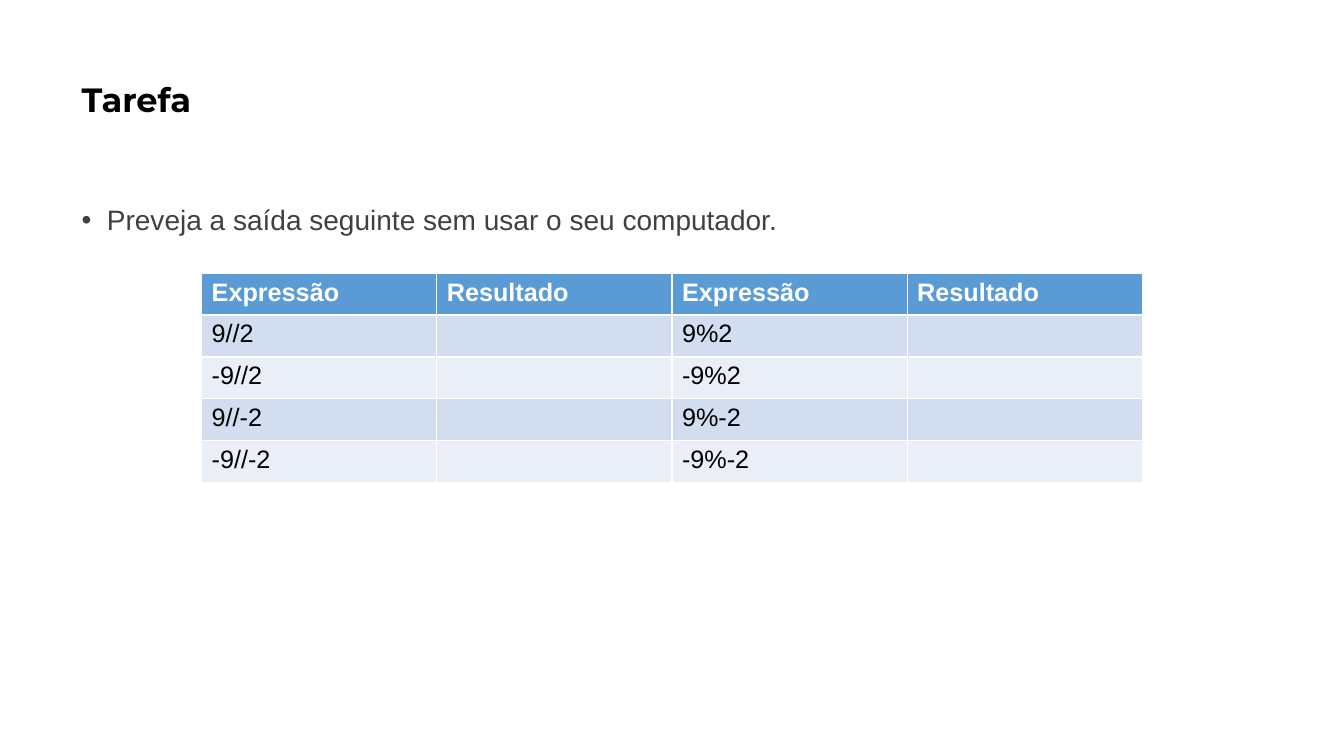
from pptx import Presentation
from pptx import util as u
from pptx.dml import color
from pptx.enum import text

COLORS = {
    "title": "000000",
    "body": "404040",
    "header": "5B9BD5",
    "header_text": "FFFFFF",
    "odd_row": "D2DEEF",
    "even_row": "EAEFF7",
    "cell_text": "000000",
}
HEADINGS = ["Expressão", "Resultado"] * 2
OPERAND_PAIRS = [("9", "2"), ("-9", "2"), ("9", "-2"), ("-9", "-2")]


def rgb(name):
    return color.RGBColor.from_string(COLORS[name])


def style(paragraph, size, color_name, font="Arial", bold=False):
    paragraph.font.name = font
    paragraph.font.size = u.Pt(size)
    paragraph.font.bold = bold
    paragraph.font.color.rgb = rgb(color_name)


def place(placeholder, left, top, width, height):
    placeholder.left, placeholder.top = u.Inches(left), u.Inches(top)
    placeholder.width, placeholder.height = u.Inches(width), u.Inches(height)


def add_heading(slide, wording):
    heading = slide.shapes.title
    place(heading, 0.71, 0.28, 11.5, 1.45)
    heading.text_frame.text = wording
    heading.text_frame.vertical_anchor = text.MSO_ANCHOR.MIDDLE
    line = heading.text_frame.paragraphs[0]
    line.alignment = text.PP_ALIGN.LEFT
    line.line_spacing = 0.9
    style(line, 24, "title", "Montserrat", True)


def add_instruction(slide, wording):
    instruction = slide.placeholders[1]
    place(instruction, 0.71, 2, 11.5, 4.76)
    instruction.text_frame.text = wording
    line = instruction.text_frame.paragraphs[0]
    line.line_spacing = 0.9
    line.space_before = u.Pt(10)
    style(line, 20, "body")
    properties = line._p.get_or_add_pPr()
    properties.set("marL", str(u.Inches(0.25)))
    properties.set("indent", str(u.Inches(-0.25)))


def add_exercise(slide, rows):
    exercise = slide.shapes.add_table(
        len(rows), len(HEADINGS),
        u.Inches(2), u.Inches(2.71), u.Inches(9.33), u.Inches(2.08),
    ).table
    for row_index, entries in enumerate(rows):
        is_header = row_index == 0
        band = "header" if is_header else "odd_row" if row_index % 2 else "even_row"
        ink = "header_text" if is_header else "cell_text"
        for column, entry in enumerate(entries):
            cell = exercise.cell(row_index, column)
            cell.text = entry
            cell.fill.solid()
            cell.fill.fore_color.rgb = rgb(band)
            style(cell.text_frame.paragraphs[0], 18, ink, bold=is_header)


def main():
    deck = Presentation()
    deck.slide_width, deck.slide_height = u.Inches(13.33), u.Inches(7.5)
    slide = deck.slides.add_slide(deck.slide_layouts[1])
    add_heading(slide, "Tarefa")
    add_instruction(slide, "Preveja a saída seguinte sem usar o seu computador.")
    expressions = [[f"{a}//{b}", "", f"{a}%{b}", ""] for a, b in OPERAND_PAIRS]
    add_exercise(slide, [HEADINGS] + expressions)
    deck.save("out.pptx")


if __name__ == "__main__":
    main()
